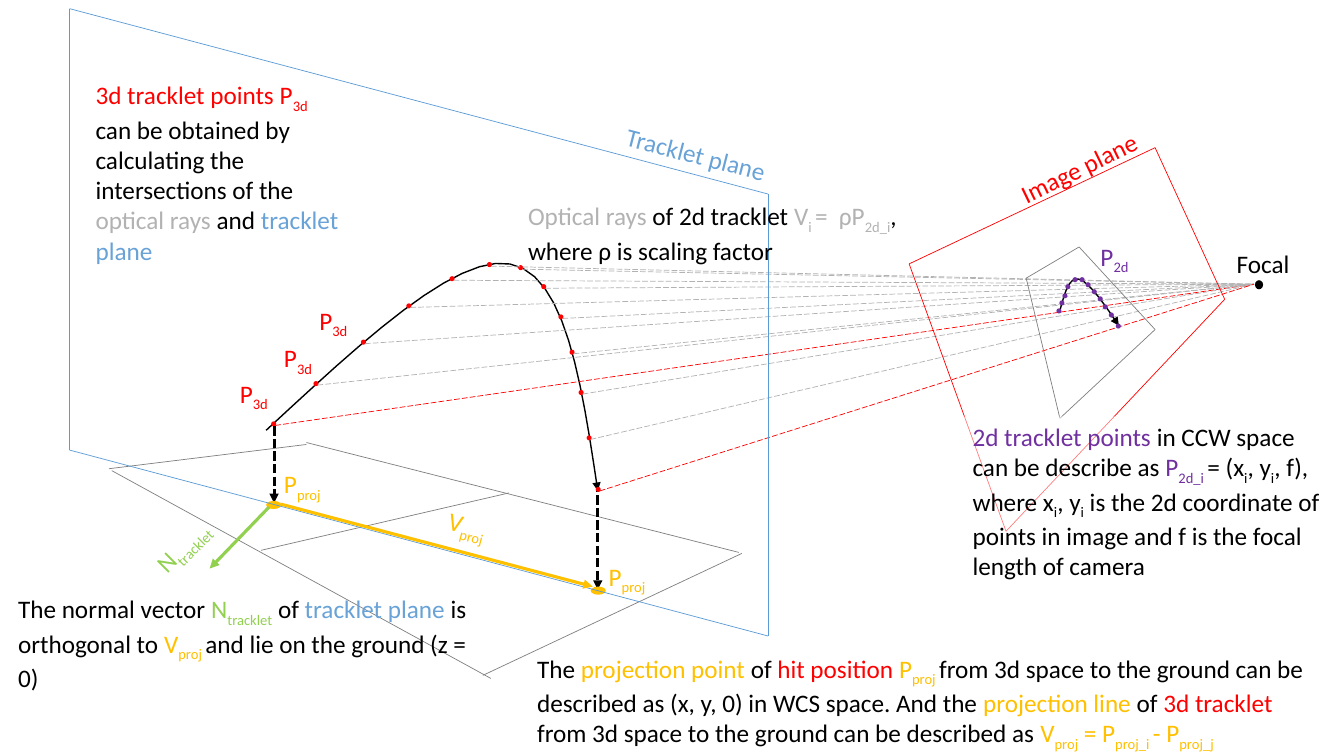
from dataclasses import dataclass

from lxml import etree
from pptx import Presentation
from pptx.dml.color import RGBColor
from pptx.enum.dml import MSO_LINE
from pptx.enum.shapes import MSO_CONNECTOR, MSO_SHAPE
from pptx.enum.text import MSO_ANCHOR, MSO_AUTO_SIZE, PP_ALIGN
from pptx.oxml.ns import qn
from pptx.util import Pt

LINE = MSO_CONNECTOR.STRAIGHT
OVAL, RECT = MSO_SHAPE.OVAL, MSO_SHAPE.RECTANGLE
LONG, SHORT = MSO_LINE.LONG_DASH, MSO_LINE.SQUARE_DOT
GROW, TOP, LEFT = MSO_AUTO_SIZE.SHAPE_TO_FIT_TEXT, MSO_ANCHOR.TOP, PP_ALIGN.LEFT


@dataclass(frozen=True)
class Theme:
    font: str = "Calibri"
    size: float = 18
    thin: float = 0.5
    mid: float = 1
    bold: float = 2.25
    black: str = "000000"
    white: str = "FFFFFF"
    red: str = "FF0000"
    gray: str = "808080"
    ray: str = "B2B2B2"
    blue: str = "5B9BD5"
    sky: str = "68A2D7"
    gold: str = "FFC000"
    green: str = "92D050"
    plum: str = "7030A0"


def tint(name):
    return RGBColor.from_string(name)


def curve(knots, steps=12):
    points = [knots[0]]
    for k in range(0, len(knots) - 1, 3):
        a, b, c, d = knots[k:k + 4]
        for step in range(1, steps + 1):
            t = step / steps
            u = 1 - t
            points.append(tuple(
                u ** 3 * a[i] + 3 * u * u * t * b[i] + 3 * u * t * t * c[i] + t ** 3 * d[i]
                for i in (0, 1)))
    return points


class Canvas:
    def __init__(self, slide, theme):
        self.shapes = slide.shapes
        self.theme = theme

    def stroke(self, shape, color, width, dash=None, arrow=False):
        line = shape.line
        line.color.rgb = tint(color)
        for name, value in {"width": Pt(width), "dash_style": dash}.items():
            setattr(line, name, value)
        if arrow:
            etree.SubElement(line._get_or_add_ln(), qn("a:tailEnd"), type="triangle")

    def line(self, start, end, color, width=None, dash=None, arrow=False):
        link = self.shapes.add_connector(LINE, *map(Pt, (*start, *end)))
        self.stroke(link, color, width or self.theme.thin, dash, arrow)
        etree.SubElement(link._element.spPr, qn("a:effectLst"))

    def plane(self, corners, color):
        for start, end in zip(corners, corners[1:] + corners[:1]):
            self.line(start, end, color)

    def arc(self, knots):
        first, *rest = [tuple(map(Pt, point)) for point in curve(knots)]
        pen = self.shapes.build_freeform(*first)
        pen.add_line_segments(rest, close=False)
        shape = pen.convert_to_shape()
        shape.shadow.inherit = False
        shape.fill.background()
        self.stroke(shape, self.theme.black, self.theme.mid, arrow=True)

    def dot(self, x, y, color, wide=3.6, high=3.6):
        shape = self.shapes.add_shape(
            OVAL, *map(Pt, (x - wide / 2, y - high / 2, wide, high)))
        shape.shadow.inherit = False
        shape.fill.solid()
        shape.fill.fore_color.rgb = tint(color)
        shape.line.fill.background()

    def text(self, box, *parts, turn=0, wrap=True, veil=False):
        area = tuple(map(Pt, box))
        if veil:
            shape = self.shapes.add_shape(RECT, *area)
            shape.shadow.inherit = False
            shape.line.fill.background()
            shape.fill.solid()
            shape.fill.fore_color.rgb = tint(self.theme.white)
            fill = shape._element.spPr.find(qn("a:solidFill"))
            etree.SubElement(fill[0], qn("a:alpha"), val="50000")
        else:
            shape = self.shapes.add_textbox(*area)
        shape.rotation = turn
        frame = shape.text_frame
        form = {"word_wrap": wrap, "auto_size": GROW, "vertical_anchor": TOP}
        for name, value in form.items():
            setattr(frame, name, value)
        para = frame.paragraphs[0]
        para.alignment = LEFT
        for color, *words in parts:
            for place, word in enumerate(words):
                run = para.add_run()
                run.text = word
                form = {"name": self.theme.font, "size": Pt(self.theme.size)}
                for name, value in form.items():
                    setattr(run.font, name, value)
                run.font.color.rgb = tint(color)
                if place % 2:
                    run._r.get_or_add_rPr().set("baseline", "-25000")

    def label(self, x, y, wide, *part, turn=0):
        self.text((x, y, wide, 28.8), part, turn=turn, wrap=False)


def main():
    deck = Presentation()
    deck.slide_width, deck.slide_height = Pt(960), Pt(540)
    look = Theme()
    draw = Canvas(deck.slides.add_slide(deck.slide_layouts[6]), look)

    ground = [
        ((218.9, 316.1), (527.8, 394.6)), ((79.9, 336.2), (350.6, 484.6)),
        ((218.9, 317.5), (77.8, 334.8)), ((529.9, 395.3), (344.9, 482.4)),
        ((363.6, 352.1), (186.5, 393.1)),
    ]
    for start, end in ground:
        draw.line(start, end, look.gray)

    draw.arc([(190.1, 307.4), (257.8, 244.8), (325.4, 181.4), (364.3, 188.6),
              (403.9, 195.8), (415.4, 272.9), (427, 350.6)])
    track = [
        (195.5, 302.8), (225.7, 274), (259.6, 244.4), (292, 218.5), (322.9, 199.1),
        (349.6, 189), (371.9, 191.2), (388.4, 204.8), (400.7, 226.4), (408.6, 251.6),
        (415.1, 280.4), (420.8, 312.8), (427.3, 349.6),
    ]
    for x, y in track[:-1]:
        draw.dot(x, y, look.red)
    for x, y in track:
        color = look.red if (x, y) in (track[0], track[-1]) else look.ray
        draw.line((x + 1.1, y + 1.1), (895.7, 203), color, dash=LONG)

    draw.plane([(649.4, 188.5), (718.6, 379.5), (874.8, 213.8), (825.1, 105.5)], look.red)
    draw.arc([(756.7, 223.2), (760.3, 210.2), (763.2, 198), (770.4, 199.4),
              (777.6, 200.9), (788.4, 216.7), (799.2, 232.6)])
    draw.plane([(770.8, 176.4), (733, 198.7), (757.1, 298.8), (825.1, 235.4)], look.gray)

    for x, top, base in ((195.8, 304.6, 359.3), (427, 344.9, 421.2)):
        draw.line((x, top), (x, base), look.black, look.bold, SHORT, True)
    for x, y in ((195.5, 360.7), (427.3, 421.9)):
        draw.dot(x, y, look.gold, 10.8, 5.8)
    draw.dot(*track[-1], look.red)
    draw.plane([(49.7, 6.2), (548.6, 138.6), (548.6, 454.3), (49.7, 321.5)], look.blue)
    draw.dot(899.3, 203.4, look.black, 5.8, 6.5)

    draw.label(718.6, 105.1, 105.1, look.red, "Image plane", turn=-25.9)
    draw.label(876.2, 173.5, 52.6, look.black, "Focal")
    draw.line((200.2, 360), (423.4, 419), look.gold, look.bold, arrow=True)
    draw.label(439.2, 95.8, 117.4, look.sky, "Tracklet plane", turn=14.4)

    draw.text((370.1, 139.7, 280.8, 51.1),
              (look.ray, "Optical rays "), (look.black, "of 2d tracklet "),
              (look.ray, "V", "i ", "=  ρP", "2d_i"),
              (look.black, ", where ρ is scaling factor"))
    draw.text((687.6, 297.4, 272.2, 116.6),
              (look.plum, "2d tracklet points "),
              (look.black, "in CCW space can be describe as "),
              (look.plum, "P", "2d_i "),
              (look.black, "= (x", "i", ", y", "i", ", f), where x", "i", ", y", "i",
               " is the 2d coordinate of points in image and f is the focal length of camera"),
              veil=True)
    draw.text((61.2, 53.3, 190.1, 138.2),
              (look.red, "3d tracklet points P", "3d "),
              (look.black, "can be obtained by calculating the intersections of the "),
              (look.ray, "optical rays "), (look.black, "and "),
              (look.sky, "tracklet plane"))
    draw.text((376.6, 463, 564.5, 72.7),
              (look.black, "The "), (look.gold, "projection point "), (look.black, "of "),
              (look.red, "hit position "), (look.gold, "P", "proj "),
              (look.black, "from 3d space to the ground can be described as (x, y, 0) "
               "in WCS space. And the "),
              (look.gold, "projection line"), (look.black, " of "),
              (look.red, "3d tracklet "),
              (look.black, "from 3d space to the ground can be described as "),
              (look.gold, "V", "proj", " = P", "proj_i ", "- P", "proj_j"))
    draw.text((5.8, 420.5, 351.4, 51.1),
              (look.black, "The normal vector "), (look.green, "N", "tracklet"),
              (look.black, " of "), (look.sky, "tracklet plane "),
              (look.black, "is orthogonal to "), (look.gold, "V", "proj "),
              (look.black, "and lie on the ground (z = 0)"))

    for x, y in ((195.8, 331.2), (427.7, 397.4)):
        draw.label(x, y, 43.2, look.gold, "P", "proj")
    draw.label(313.2, 360.7, 43.9, look.gold, "V", "proj", turn=15)
    draw.line((192.2, 362.2), (149.8, 406.1), look.green, look.bold, arrow=True)
    draw.label(100.1, 373.7, 63.4, look.green, "N", "tracklet", turn=-45)
    for x, y in ((221, 214.6), (195.8, 241.2), (164.2, 266.4)):
        draw.label(x, y, 40.3, look.red, "P", "3d")

    draw.label(779, 168.5, 36.7, look.plum, "P", "2d")
    trace = [
        (756.4, 222.1), (758.5, 216.4), (760.7, 211.3), (762.8, 204.8), (767.9, 199.8),
        (772.9, 199.8), (777.2, 203.4), (781.6, 208.4), (785.9, 213.5), (789.5, 219.2),
        (793.8, 225), (798.8, 232.9),
    ]
    for x, y in trace:
        draw.dot(x, y, look.plum)

    deck.save("out.pptx")


if __name__ == "__main__":
    main()
